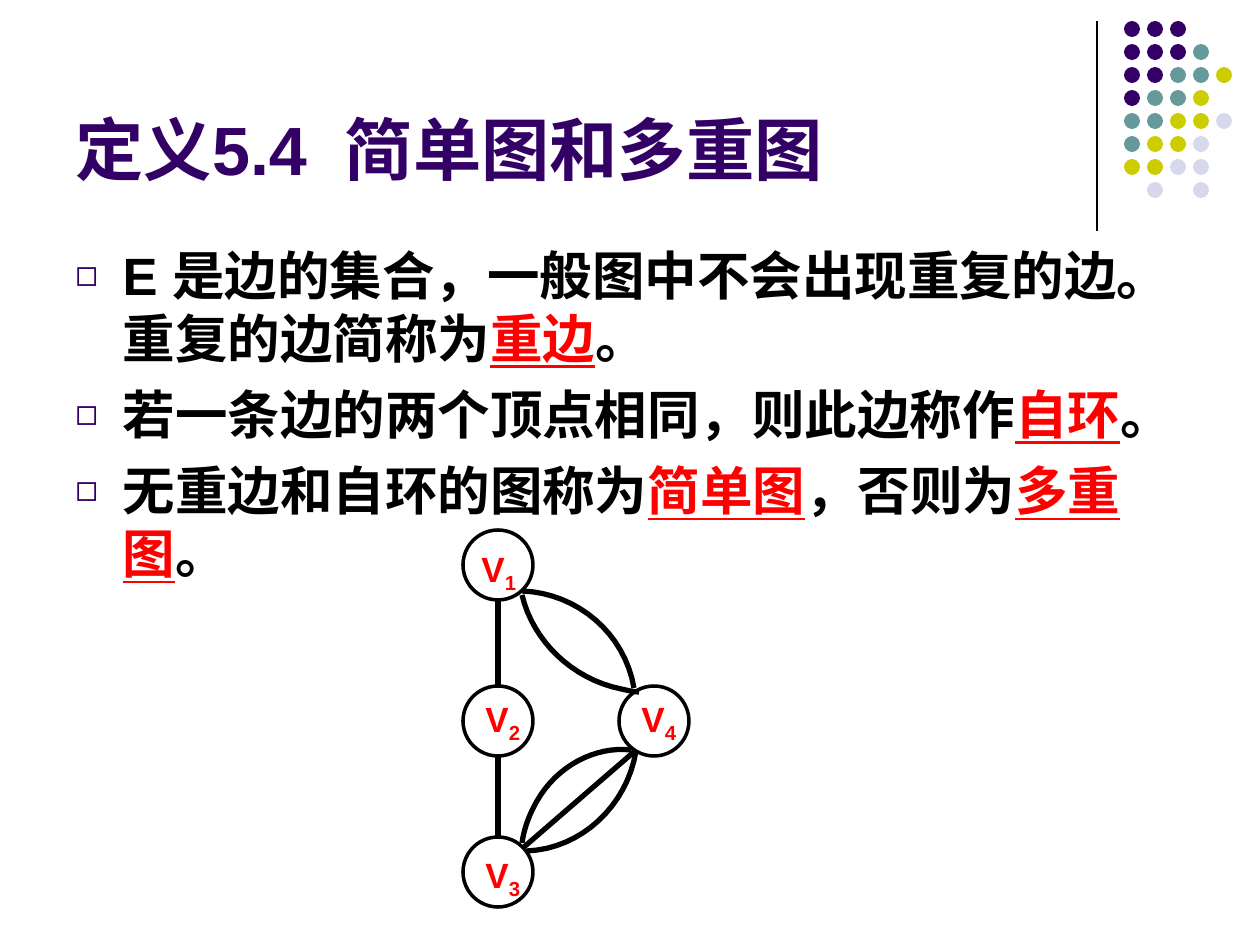
from lxml.etree import SubElement as Sub
from pptx import Presentation
from pptx.dml.color import RGBColor
from pptx.enum.shapes import MSO_CONNECTOR as Conn, MSO_SHAPE as Shape
from pptx.enum.text import MSO_ANCHOR as Anchor, MSO_AUTO_SIZE as Fit, PP_ALIGN as Align
from pptx.oxml.ns import qn
from pptx.util import Inches, Pt

SCALE = 914400 / 126
FONT = "Arial"
BLACK = RGBColor(0x00, 0x00, 0x00)
RED = RGBColor(0xFF, 0x00, 0x00)
PURPLE = RGBColor(0x33, 0x00, 0x66)
TEAL = RGBColor(0x66, 0x99, 0x99)
LIME = RGBColor(0xCC, 0xCC, 0x00)
LILAC = RGBColor(0xD8, 0xD8, 0xEC)

# Dot pattern, one letter per dot
TINTS = {"P": PURPLE, "T": TEAL, "Y": LIME, "L": LILAC}
DOTS = ["PPP", "PPPT", "PPTTY", "PTTY", "TTYYL", "TYYL", "YYLL", " L L"]

# Body text: (words, is a key term)
ITEMS = [
    [("E 是边的集合，一般图中不会出现重复的边。重复的边简称为", False),
     ("重边", True), ("。", False)],
    [("若一条边的两个顶点相同，则此边称作", False), ("自环", True), ("。", False)],
    [("无重边和自环的图称为", False), ("简单图", True), ("，否则为", False),
     ("多重图", True), ("。", False)],
]

# Graph: node corner, label corner
NODES = {
    "1": ((463, 530), (469, 541)),
    "2": ((463, 686), (473, 691)),
    "3": ((463, 837), (473, 847)),
    "4": ((619, 686), (629, 691)),
}
EDGES = [(498, 685, 498, 600), (498, 837, 498, 756), (524, 847, 635, 751)]
# Each arc: a start, then three Bezier points per piece
ARCS = [
    [(522, 591), (578, 593), (625, 634), (634, 688)],
    [(639, 692), (633, 692), (626, 690), (621, 689),
     (572, 679), (533, 641), (522, 595)],
    [(522, 843), (524, 829), (529, 815), (537, 801),
     (557, 766), (595, 746), (631, 750)],
    [(636, 751), (627, 806), (581, 849), (527, 851)],
]


def px(*nums):
    return [round(n * SCALE) for n in nums]


def style(para, size, color=None):
    font = para.font
    font.name, font.size, font.bold = FONT, Pt(size), True
    if color is not None:
        font.color.rgb = color


def add_title(slide, text):
    title = slide.shapes.title
    title.left, title.top, title.width, title.height = px(63, 16, 1040, 179)
    frame = title.text_frame
    frame.text = text
    frame.vertical_anchor = Anchor.BOTTOM
    frame.auto_size = Fit.NONE
    para = frame.paragraphs[0]
    para.alignment = Align.LEFT
    style(para, 39, PURPLE)


def add_bullet(para):
    props = para._p.get_or_add_pPr()
    props.set("marL", str(Pt(27)))
    props.set("indent", str(-Pt(27)))
    props.set("hangingPunct", "0")
    tint = Sub(props, qn("a:buClr"))
    Sub(tint, qn("a:srgbClr"), val=str(PURPLE))
    Sub(props, qn("a:buSzPct"), val="70000")
    Sub(props, qn("a:buFont"), typeface=FONT)
    Sub(props, qn("a:buChar"), char="◻")


def add_body(slide, items):
    frame = slide.shapes.add_textbox(*px(63, 237, 1136, 607)).text_frame
    frame.word_wrap = True
    for i, item in enumerate(items):
        para = frame.add_paragraph() if i else frame.paragraphs[0]
        add_bullet(para)
        para.space_before = Pt(7.5 if i else 0)
        style(para, 30)
        for words, key in item:
            run = para.add_run()
            run.text = words
            run.font.color.rgb = RED if key else BLACK
            if key:
                run.font.underline = True


def add_disc(slide, x, y, size, fill=None):
    disc = slide.shapes.add_shape(Shape.OVAL, *px(x, y, size, size))
    disc.shadow.inherit = False
    if fill is None:
        disc.fill.background()
        disc.line.color.rgb = BLACK
        disc.line.width = Pt(2)
    else:
        disc.fill.solid()
        disc.fill.fore_color.rgb = fill
        disc.line.fill.background()


def add_line(slide, ends, width):
    line = slide.shapes.add_connector(Conn.STRAIGHT, *px(*ends))
    line.line.color.rgb = BLACK
    line.line.width = Pt(width)
    Sub(line._element.spPr, qn("a:effectLst"))


def bezier(a, b, c, d, steps=16):
    for i in range(1, steps + 1):
        t = i / steps
        u = 1 - t
        yield px(*(u**3 * p + 3 * u * u * t * q + 3 * u * t * t * r + t**3 * s
                   for p, q, r, s in zip(a, b, c, d)))


def add_arc(slide, knots):
    pen = slide.shapes.build_freeform(*px(*knots[0]))
    for i in range(0, len(knots) - 1, 3):
        pen.add_line_segments(list(bezier(*knots[i:i + 4])), close=False)
    arc = pen.convert_to_shape()
    arc.shadow.inherit = False
    arc.fill.background()
    arc.line.color.rgb = BLACK
    arc.line.width = Pt(3)


def add_label(slide, x, y, num):
    frame = slide.shapes.add_textbox(*px(x, y, 59, 60)).text_frame
    # Room for the subscript beside the letter
    frame.margin_right = 0
    frame.word_wrap = True
    para = frame.paragraphs[0]
    style(para, 20, RED)
    para.add_run().text = "V"
    sub = para.add_run()
    sub.text = num
    sub._r.get_or_add_rPr().set("baseline", "-25000")


def main():
    deck = Presentation()
    deck.slide_width, deck.slide_height = Inches(10), Inches(7.5)
    slide = deck.slides.add_slide(deck.slide_layouts[5])

    # Corner ornament
    add_line(slide, (1097, 21, 1097, 231), 0.75)
    for row, marks in enumerate(DOTS):
        for col, mark in enumerate(marks):
            if mark in TINTS:
                add_disc(slide, 1124 + 23 * col, 21 + 23 * row, 16, TINTS[mark])

    # Text
    add_title(slide, "定义5.4  简单图和多重图")
    add_body(slide, ITEMS)

    # Graph
    for spot, _ in NODES.values():
        add_disc(slide, *spot, 70)
    for ends in EDGES:
        add_line(slide, ends, 3)
    for knots in ARCS:
        add_arc(slide, knots)
    for num, (_, spot) in NODES.items():
        add_label(slide, *spot, num)

    deck.save("out.pptx")


if __name__ == "__main__":
    main()
